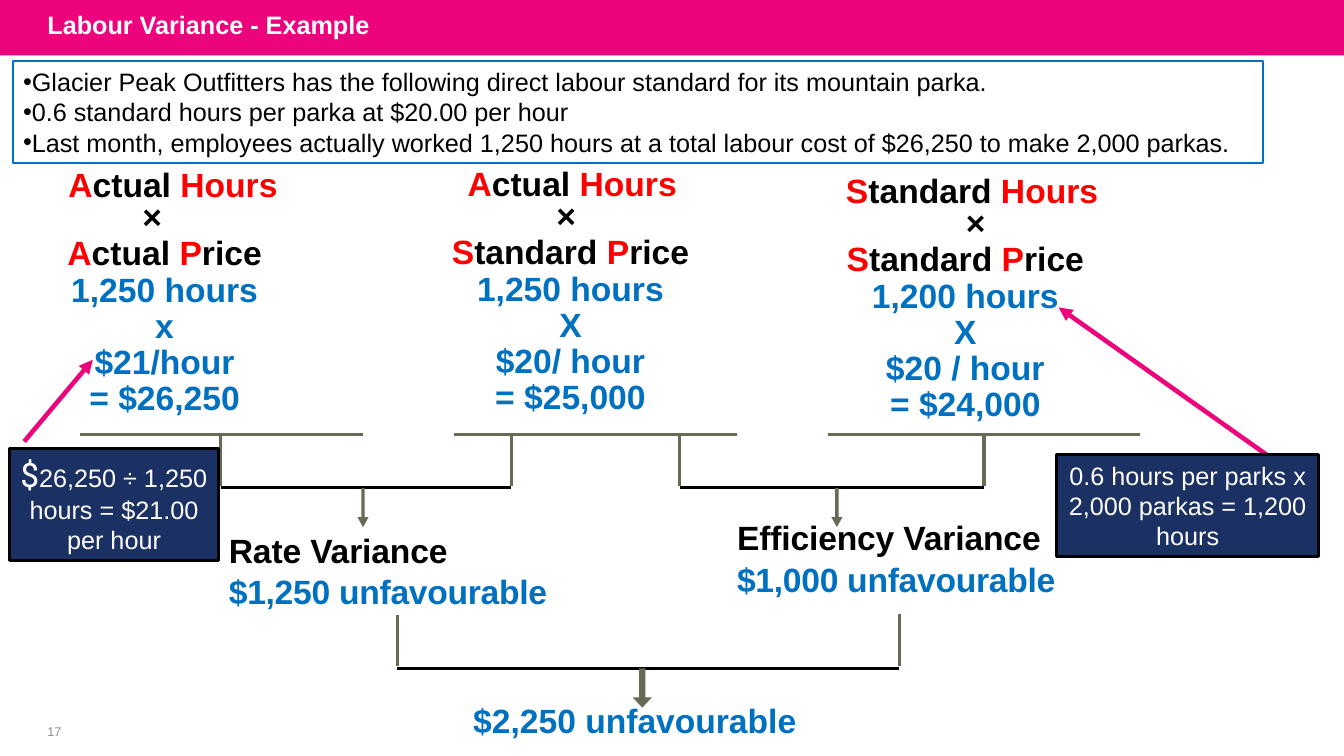
from dataclasses import dataclass
from typing import NamedTuple, Optional

from lxml.etree import SubElement
from pptx import Presentation
from pptx.dml.color import RGBColor
from pptx.enum.shapes import MSO_CONNECTOR, MSO_SHAPE
from pptx.enum.text import MSO_ANCHOR, PP_ALIGN
from pptx.oxml.ns import qn
from pptx.util import Inches, Pt

PINK = RGBColor(0xED, 0x03, 0x7C)
RED = RGBColor(0xFF, 0x00, 0x00)
BLUE = RGBColor(0x00, 0x70, 0xC0)
NAVY = RGBColor(0x1C, 0x31, 0x63)
OLIVE = RGBColor(0x67, 0x6A, 0x54)
GREY = RGBColor(0x8C, 0x8C, 0x8C)
BLACK = RGBColor(0x00, 0x00, 0x00)
WHITE = RGBColor(0xFF, 0xFF, 0xFF)

WIDTH, HEIGHT = Inches(13.33), Inches(7.5)
UNDERLINE, STEM_END, CROSSBAR, ARROW_HEIGHT = 57.47, 64.27, 64.53, 5.2
Point = tuple[float, float]


class Area(NamedTuple):
    left: float
    top: float
    width: float
    height: float


class Span(NamedTuple):
    text: str
    color: RGBColor
    size: float = 24
    bold: bool = True
    font: str = "Arial"
    tracking: int = 0


@dataclass
class Line:
    spans: list[Span]
    align: PP_ALIGN = PP_ALIGN.LEFT
    left: float = 0
    right: float = 0
    spacing: Optional[float] = None
    before: float = 0
    bullet: bool = False


@dataclass
class CostColumn:
    area: Area
    basis: str
    rate: str
    figures: list[str]
    times_left: float
    times_right: float
    figures_right: float
    underline: tuple[float, float]
    stems: list[float]


@dataclass
class Bracket:
    left: float
    right: float
    bar: float
    arrow: float
    arrow_width: float
    shaft: float
    head: float


@dataclass
class Variance:
    area: Area
    lines: list[Span]
    indent: float = 0.08


@dataclass
class Note:
    area: Area
    spans: list[Span]


def across(share: float) -> int:
    return round(WIDTH * share / 100)


def down(share: float) -> int:
    return round(HEIGHT * share / 100)


def place(area: Area) -> tuple[int, int, int, int]:
    return across(area.left), down(area.top), across(area.width), down(area.height)


def write(frame, lines: list[Line]) -> None:
    frame.word_wrap = True
    frame.text = "\n".join("" for _ in lines)
    for paragraph, line in zip(frame.paragraphs, lines):
        paragraph.alignment = line.align
        paragraph.space_before = Pt(line.before)
        if line.spacing:
            paragraph.line_spacing = Pt(line.spacing)
        properties = paragraph._p.get_or_add_pPr()
        properties.set("marL", str(across(line.left)))
        properties.set("marR", str(across(line.right)))
        properties.set("indent", "0")
        if line.bullet:
            SubElement(properties, qn("a:buFont")).set("typeface", "Arial")
            SubElement(properties, qn("a:buChar")).set("char", "•")
        else:
            SubElement(properties, qn("a:buNone"))
        for span in line.spans:
            run = paragraph.add_run()
            run.text = span.text
            run.font.name, run.font.size = span.font, Pt(span.size)
            run.font.bold = span.bold
            run.font.color.rgb = span.color
            if span.tracking:
                run._r.get_or_add_rPr().set("spc", str(span.tracking))


def add_text(slide, area: Area, lines: list[Line]):
    frame = slide.shapes.add_textbox(*place(area)).text_frame
    frame.margin_left = frame.margin_right = frame.margin_bottom = 0
    frame.margin_top = down(0.17)
    write(frame, lines)
    return frame


def add_block(slide, area: Area, kind: MSO_SHAPE, fill: Optional[RGBColor],
              edge: Optional[RGBColor] = None, weight: float = 0):
    block = slide.shapes.add_shape(kind, *place(area))
    block.shadow.inherit = False
    if fill is None:
        block.fill.background()
    else:
        block.fill.solid()
        block.fill.fore_color.rgb = fill
    if edge is None:
        block.line.fill.background()
    else:
        block.line.color.rgb = edge
        block.line.width = Pt(weight)
    return block


def add_line(slide, start: Point, end: Point, color: RGBColor,
             weight: float = 2.25, arrow: bool = False) -> None:
    line = slide.shapes.add_connector(
        MSO_CONNECTOR.STRAIGHT, across(start[0]), down(start[1]), across(end[0]), down(end[1]))
    line.line.color.rgb = color
    line.line.width = Pt(weight)
    if arrow:
        SubElement(line.line._get_or_add_ln(), qn("a:tailEnd")).set("type", "triangle")
    SubElement(line._element.spPr, qn("a:effectLst"))


def add_strokes(slide, strokes: list[tuple[Point, Point]]) -> None:
    points = [[(across(x), down(y)) for x, y in stroke] for stroke in strokes]
    builder = slide.shapes.build_freeform(*points[0][0])
    for start, end in points:
        builder.move_to(*start)
        builder.add_line_segments([end], close=False)
    outline = builder.convert_to_shape()
    outline.shadow.inherit = False
    outline.fill.background()
    outline.line.color.rgb = OLIVE
    outline.line.width = Pt(2.25)


def heading(phrase: str) -> list[Span]:
    first, second = phrase.split()
    cut = len(second) if second == "Hours" else 1
    spans = [Span(first[0], RED), Span(first[1:] + " ", BLACK), Span(second[:cut], RED)]
    return spans + ([Span(second[cut:], BLACK)] if second[cut:] else [])


def add_cost_column(slide, column: CostColumn) -> None:
    center = PP_ALIGN.CENTER
    lines = [
        Line(heading(column.basis), center, spacing=25.9),
        Line([Span("×", BLACK)], center, column.times_left, column.times_right, 23.1),
        Line(heading(column.rate), center, right=column.figures_right, spacing=25.9),
    ]
    lines += [Line([Span(figure, BLUE)], center, right=column.figures_right, spacing=25.9)
              for figure in column.figures]
    add_text(slide, column.area, lines)
    start, end = column.underline
    add_strokes(slide, [((start, UNDERLINE), (end, UNDERLINE))]
                + [((stem, UNDERLINE), (stem, STEM_END)) for stem in column.stems])


def add_bracket(slide, bracket: Bracket) -> None:
    add_line(slide, (bracket.left, bracket.bar), (bracket.right, bracket.bar), BLACK)
    area = Area(bracket.arrow - bracket.arrow_width / 2, bracket.bar,
                bracket.arrow_width, ARROW_HEIGHT)
    arrow = add_block(slide, area, MSO_SHAPE.DOWN_ARROW, OLIVE)
    arrow.adjustments[0], arrow.adjustments[1] = bracket.shaft, bracket.head


def variance_lines(name: str, amount: str) -> list[Span]:
    return [Span(name, BLACK, tracking=-10), Span(amount, BLUE, tracking=-20)]


BRIEF = [
    "Glacier Peak Outfitters has the following direct labour standard for its mountain parka.",
    "0.6 standard hours per parka at $20.00 per hour",
    "Last month, employees actually worked 1,250 hours at a total labour cost of $26,250 to make 2,000 parkas.",
]
COLUMNS = [
    CostColumn(Area(3.53, 22, 18.68, 33.6), "Actual Hours", "Actual Price",
               ["1,250 hours", "x", "$21/hour", "= $26,250"], 0, 3.1, 1.25, (5.93, 27.01), [16.43]),
    CostColumn(Area(33.23, 21.87, 18.68, 33.6), "Actual Hours", "Standard Price",
               ["1,250 hours", "X", "$20/ hour", "= $25,000"], 0, 0.9, 0.25, (33.76, 54.84), [38.03, 50.56]),
    CostColumn(Area(61.37, 22.8, 21.91, 33.6), "Standard Hours", "Standard Price",
               ["1,200 hours", "X", "$20 / hour", "= $24,000"], 0.53, 0, 1, (61.59, 84.85), [73.22]),
]
BRACKETS = [
    Bracket(16.43, 38.03, CROSSBAR, 27.01, 0.83, 0.3, 0.91),
    Bracket(50.56, 73.22, CROSSBAR, 62.27, 0.83, 0.3, 0.91),
    Bracket(29.56, 66.92, 88.4, 47.79, 1.43, 0.32, 0.53),
]
TOTAL_STEMS = [((29.56, 81.33), (29.56, 88.13)), ((66.92, 88.13), (66.92, 81.2))]
VARIANCES = [
    Variance(Area(16.95, 69.87, 25.13, 11.2), variance_lines("Rate Variance", "$1,250 unfavourable")),
    Variance(Area(33.76, 92.4, 28.13, 5.6), [Span("$2,250 unfavourable", BLUE)], 1.45),
    Variance(Area(54.76, 68.27, 25.13, 11.2),
             variance_lines("Efficiency Variance", "$1,000 unfavourable")),
]
POINTERS = [((1.8, 58.4), (6.9, 47.6)), ((94.22, 60.13), (78.77, 40.67))]
NOTES = [
    Note(Area(78.62, 60.13, 19.5, 13.47),
         [Span("0.6 hours per parks x 2,000 parkas = 1,200 hours", WHITE, 18, False)]),
    Note(Area(0.72, 59.33, 15.53, 14.8),
         [Span("$", WHITE, 24, False, "Roboto Slab"),
          Span("26,250 ÷ 1,250 hours = $21.00 per hour", WHITE, 18, False)]),
]


def main() -> None:
    deck = Presentation()
    deck.slide_width, deck.slide_height = WIDTH, HEIGHT
    slide = deck.slides.add_slide(deck.slide_layouts[5])

    title = slide.shapes.title
    title.left, title.top, title.width, title.height = place(Area(2.78, -0.4, 78.77, 7.33))
    title.text_frame.vertical_anchor = MSO_ANCHOR.MIDDLE
    write(title.text_frame, [Line([Span("Labour Variance - Example", WHITE, 18)])])
    band = add_block(slide, Area(0, 0, 100, 7.33), MSO_SHAPE.RECTANGLE, PINK)
    title.element.addprevious(band.element)

    page = add_text(slide, Area(1.95, 95.2, 3.9, 3.2),
                    [Line([Span("17", GREY, 9, False)], PP_ALIGN.CENTER, 0.3)])
    page.margin_top = 0
    page.vertical_anchor = MSO_ANCHOR.MIDDLE

    for column in COLUMNS:
        add_cost_column(slide, column)
    add_strokes(slide, TOTAL_STEMS)
    for bracket in BRACKETS:
        add_bracket(slide, bracket)
    for variance in VARIANCES:
        add_text(slide, variance.area,
                 [Line([span], left=variance.indent, before=1 if order else 0)
                  for order, span in enumerate(variance.lines)])

    brief = add_block(slide, Area(0.98, 8.05, 93.02, 13.47), MSO_SHAPE.RECTANGLE, None, BLUE, 1.25)
    write(brief.text_frame, [Line([Span(fact, BLACK, 18, False)], bullet=True) for fact in BRIEF])

    for start, end in POINTERS:
        add_line(slide, start, end, PINK, 3.25, arrow=True)
    for note in NOTES:
        box = add_block(slide, note.area, MSO_SHAPE.RECTANGLE, NAVY, BLACK, 2.25)
        write(box.text_frame, [Line(note.spans, PP_ALIGN.CENTER)])

    deck.save("out.pptx")


if __name__ == "__main__":
    main()
